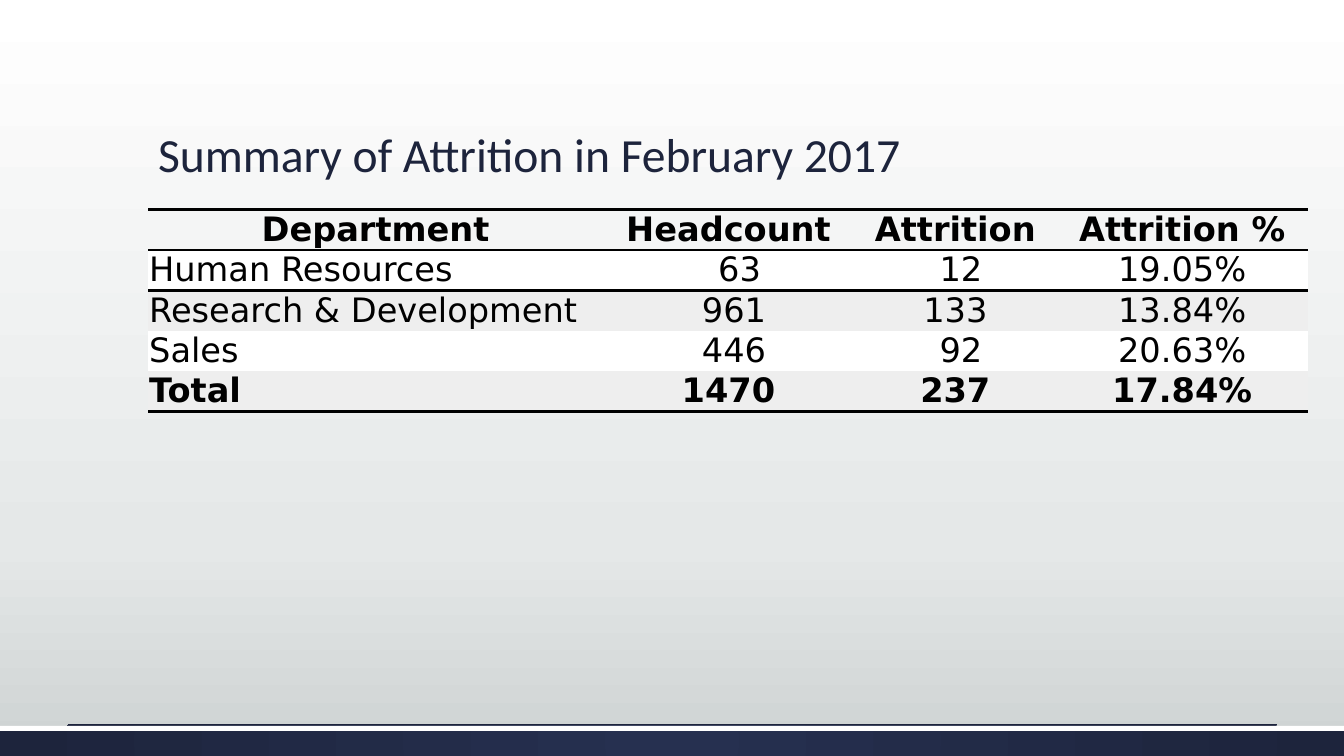
from lxml import etree
from pptx import Presentation
from pptx.dml.color import RGBColor
from pptx.enum import shapes, text
from pptx.oxml import ns, parse_xml
from pptx.util import Inches, Pt

NAVY, BLACK, WHITE, BAND = "1D243C", "000000", "FFFFFF", "EEEEEE"
NO_STYLE = "{2D5ABB26-0587-4C30-8999-92F81FD0307C}"
DEPARTMENTS = [
    ("Department", "Headcount", "Attrition", "Attrition %"),
    ("Human Resources", "63", "12", "19.05%"),
    ("Research & Development", "961", "133", "13.84%"),
    ("Sales", "446", "92", "20.63%"),
    ("Total", "1470", "237", "17.84%"),
]


def color(value):
    return RGBColor.from_string(value)


def write(frame, content, font, size, fill, bold=False, align=text.PP_ALIGN.LEFT,
          line=1.0, space=0):
    paragraph = frame.paragraphs[0]
    paragraph.alignment = align
    paragraph.line_spacing = line
    paragraph.space_before = paragraph.space_after = Pt(space)
    run = paragraph.add_run()
    run.text = content
    run.font.name, run.font.size, run.font.bold = font, Pt(size), bold
    run.font.color.rgb = color(fill)


def set_gradient(fill, owner, stops, radial=False):
    fill.gradient()
    gradient = owner.xpath(".//a:gradFill")[0]
    for child in list(gradient):
        gradient.remove(child)
    stop_list = etree.SubElement(gradient, ns.qn("a:gsLst"))
    for position, value in stops:
        stop = etree.SubElement(stop_list, ns.qn("a:gs"), pos=str(position * 1000))
        etree.SubElement(stop, ns.qn("a:srgbClr"), val=value)
    if radial:
        shade = etree.SubElement(gradient, ns.qn("a:path"), path="circle")
        etree.SubElement(shade, ns.qn("a:fillToRect"),
                         **{side: "50000" for side in "ltrb"})
    else:
        etree.SubElement(gradient, ns.qn("a:lin"), ang="5400000", scaled="0")


def set_border(cell, side, value, width):
    cell._tc.get_or_add_tcPr().append(parse_xml(
        f'<a:ln{side} {ns.nsdecls("a")} w="{Pt(width)}"><a:solidFill>'
        f'<a:srgbClr val="{value}"/></a:solidFill></a:ln{side}>'))


class SlideBuilder:
    heading_font = "Calibri"
    table_font = "DejaVu Sans"

    def __init__(self, presentation):
        self.slide = presentation.slides.add_slide(presentation.slide_layouts[6])

    def background(self, stops):
        set_gradient(self.slide.background.fill, self.slide.element, stops)

    def bar(self, left, top, width, height, fill=None, stops=None):
        shape = self.slide.shapes.add_shape(
            shapes.MSO_SHAPE.RECTANGLE, Inches(left), Inches(top),
            Inches(width), Inches(height))
        shape.shadow.inherit = False
        shape.line.fill.background()
        if stops:
            set_gradient(shape.fill, shape.element, stops, radial=True)
        else:
            shape.fill.solid()
            shape.fill.fore_color.rgb = color(fill)

    def rule(self, left, right, top):
        connector = self.slide.shapes.add_connector(
            shapes.MSO_CONNECTOR.STRAIGHT, Inches(left), Inches(top),
            Inches(right), Inches(top))
        connector.line.color.rgb = color(NAVY)
        connector.line.width = Pt(0.5)
        etree.SubElement(connector.element.spPr, ns.qn("a:effectLst"))

    def title(self, content, left, top, width, height):
        frame = self.slide.shapes.add_textbox(
            Inches(left), Inches(top), Inches(width), Inches(height)).text_frame
        frame.word_wrap = True
        frame.vertical_anchor = text.MSO_ANCHOR.BOTTOM
        write(frame, content, self.heading_font, 34, NAVY, line=0.9)

    def table(self, rows, left, top, widths, row_height):
        graphic = self.slide.shapes.add_table(
            len(rows), len(widths), Inches(left), Inches(top),
            Inches(sum(widths)), Inches(row_height * len(rows)))
        graphic.element.xpath(".//a:tableStyleId")[0].text = NO_STYLE
        table = graphic.table
        table.horz_banding = False
        for column, width in zip(table.columns, widths):
            column.width = Inches(width)
        for row in table.rows:
            row.height = Inches(row_height)
        longest = [max(len(value) for value in column[1:]) for column in zip(*rows)]
        last = len(rows) - 1
        for row_index, values in enumerate(rows):
            for column_index, value in enumerate(values):
                cell = table.cell(row_index, column_index)
                centered = row_index == 0 or column_index > 0
                missing = 0
                if row_index and column_index:
                    missing = longest[column_index] - len(value)
                cell.margin_left = Inches(0.01 + 0.11 * missing)
                cell.margin_right = cell.margin_top = cell.margin_bottom = 0
                cell.vertical_anchor = text.MSO_ANCHOR.MIDDLE
                if row_index <= 1:
                    set_border(cell, "T", BLACK, 2)
                if row_index in (0, last):
                    set_border(cell, "B", BLACK, 2)
                if row_index == 0:
                    cell.fill.background()
                else:
                    cell.fill.solid()
                    cell.fill.fore_color.rgb = color(WHITE if row_index % 2 else BAND)
                write(cell.text_frame, value, self.table_font, 24, BLACK,
                      bold=row_index in (0, last), space=1,
                      align=text.PP_ALIGN.CENTER if centered else text.PP_ALIGN.LEFT)


def main():
    presentation = Presentation()
    presentation.slide_width, presentation.slide_height = Inches(13.33), Inches(7.5)
    builder = SlideBuilder(presentation)
    builder.background([(0, WHITE), (72, "E5E8E8"), (100, "CDD2D2")])
    builder.bar(0, 7.2, 13.33, 0.3, stops=[(0, "263050"), (100, NAVY)])
    builder.bar(0, 7.2, 13.33, 0.05, fill=WHITE)
    builder.rule(0.67, 12.67, 7.19)
    builder.title("Summary of Attrition in February 2017", 1.47, 0.51, 10.4, 1.35)
    builder.table(DEPARTMENTS, 1.47, 2.08, [4.5, 2.5, 2, 2.5], 0.39)
    presentation.save("out.pptx")


if __name__ == "__main__":
    main()
